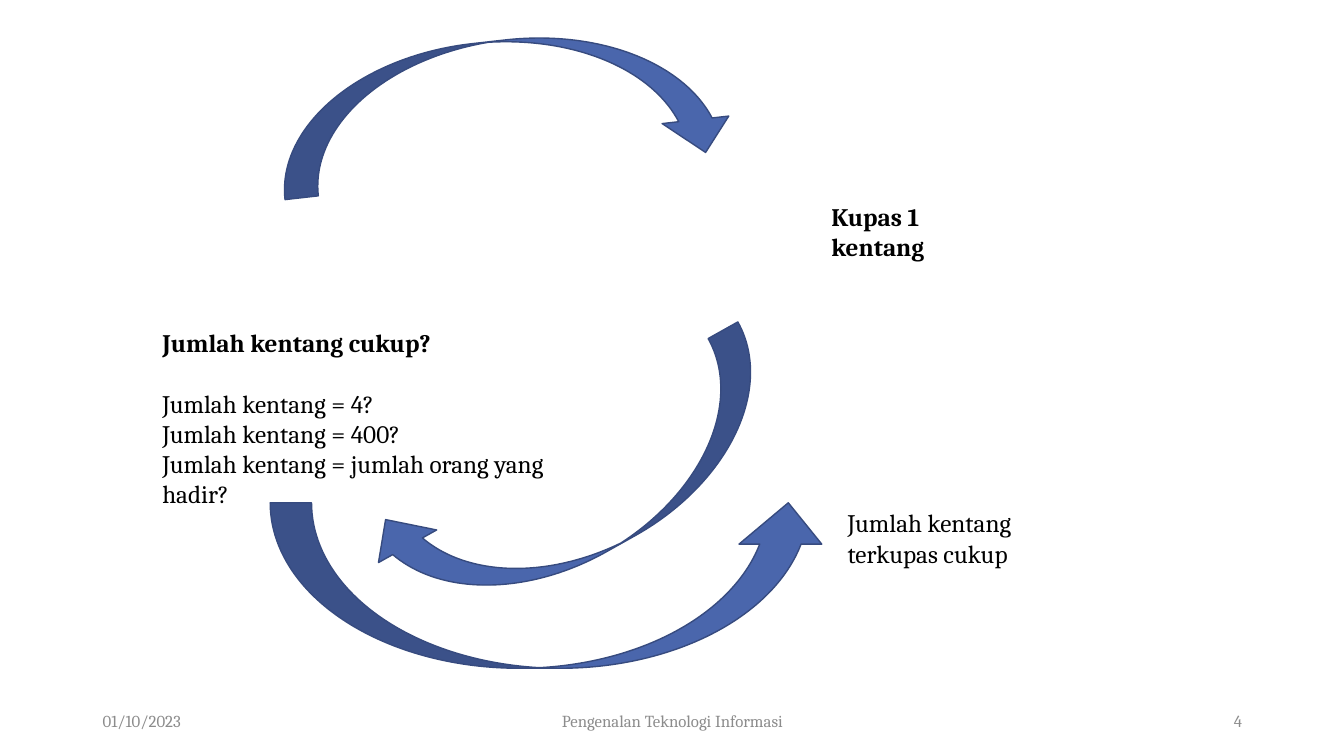
import pptx
import pptx.dml.color
import pptx.enum.shapes
import pptx.enum.text
import pptx.util
from pptx.util import Cm

COLORS = {"text": "000000", "footer": "8C8C8C", "arrow": "4A66AC", "outline": "374B7F"}
FONT = "Cambria"
ALIGN = pptx.enum.text.PP_ALIGN
ANCHOR = pptx.enum.text.MSO_ANCHOR
SHAPE = pptx.enum.shapes.MSO_SHAPE


def color(name):
    return pptx.dml.color.RGBColor.from_string(COLORS[name])


def add_text(page, area, *lines, size=18, ink="text", bold_first=False,
             align=ALIGN.LEFT, anchor=ANCHOR.TOP, gap_after_first=0):
    """Add a wrapped text box with one paragraph per line."""
    box = page.shapes.add_textbox(*map(Cm, area))
    frame = box.text_frame
    frame.word_wrap = True
    frame.vertical_anchor = anchor
    for index, line in enumerate(lines):
        para = frame.paragraphs[0] if index == 0 else frame.add_paragraph()
        para.alignment = align
        if index == 1 and gap_after_first:
            para.space_before = pptx.util.Pt(gap_after_first)
        span = para.add_run()
        span.text = line
        span.font.name = FONT
        span.font.size = pptx.util.Pt(size)
        span.font.bold = bold_first and index == 0
        span.font.color.rgb = color(ink)


def add_arrow(page, kind, area, rotation=0, flip=False, adjustments=()):
    """Add a curved block arrow."""
    arrow = page.shapes.add_shape(kind, *map(Cm, area))
    arrow.shadow.inherit = False
    arrow.fill.solid()
    arrow.fill.fore_color.rgb = color("arrow")
    arrow.line.color.rgb = color("outline")
    arrow.line.width = pptx.util.Pt(1)
    arrow.rotation = rotation
    for index, value in enumerate(adjustments):
        arrow.adjustments[index] = value
    if flip:
        arrow.element.spPr.xfrm.set("flipH", "1")


def main():
    deck = pptx.Presentation()
    deck.slide_width, deck.slide_height = Cm(33.87), Cm(19.05)
    page = deck.slides.add_slide(deck.slide_layouts[6])

    # Footer: date, course, page number
    for left, width, line, align in (
        (2.34, 7.62, "01/10/2023", ALIGN.LEFT),
        (11.23, 11.43, "Pengenalan Teknologi Informasi", ALIGN.CENTER),
        (23.93, 7.62, "4", ALIGN.RIGHT),
    ):
        add_text(page, (left, 17.65, width, 1.02), line, size=12, ink="footer",
                 align=align, anchor=ANCHOR.MIDDLE)

    # Steps of the loop
    add_text(page, (3.84, 8.13, 11.71, 4.11),
             "Jumlah kentang cukup?",
             "Jumlah kentang = 4?",
             "Jumlah kentang = 400?",
             "Jumlah kentang = jumlah orang yang hadir?",
             bold_first=True, gap_after_first=21.5)
    add_text(page, (20.7, 4.95, 4.85, 1.02), "Kupas 1 kentang", bold_first=True)
    add_text(page, (21.11, 12.67, 4.95, 1.8), "Jumlah kentang terkupas cukup")

    # Arrows between the steps
    add_arrow(page, SHAPE.CURVED_DOWN_ARROW, (6.96, 1.02, 11.51, 3.38), rotation=353.6)
    add_arrow(page, SHAPE.CURVED_UP_ARROW, (9.12, 10.59, 11.02, 3.43), rotation=330.7,
              flip=True, adjustments=(0.25, 0.49, 0.25))
    add_arrow(page, SHAPE.CURVED_UP_ARROW, (6.81, 12.67, 14.1, 4.17))

    deck.save("out.pptx")


if __name__ == "__main__":
    main()
